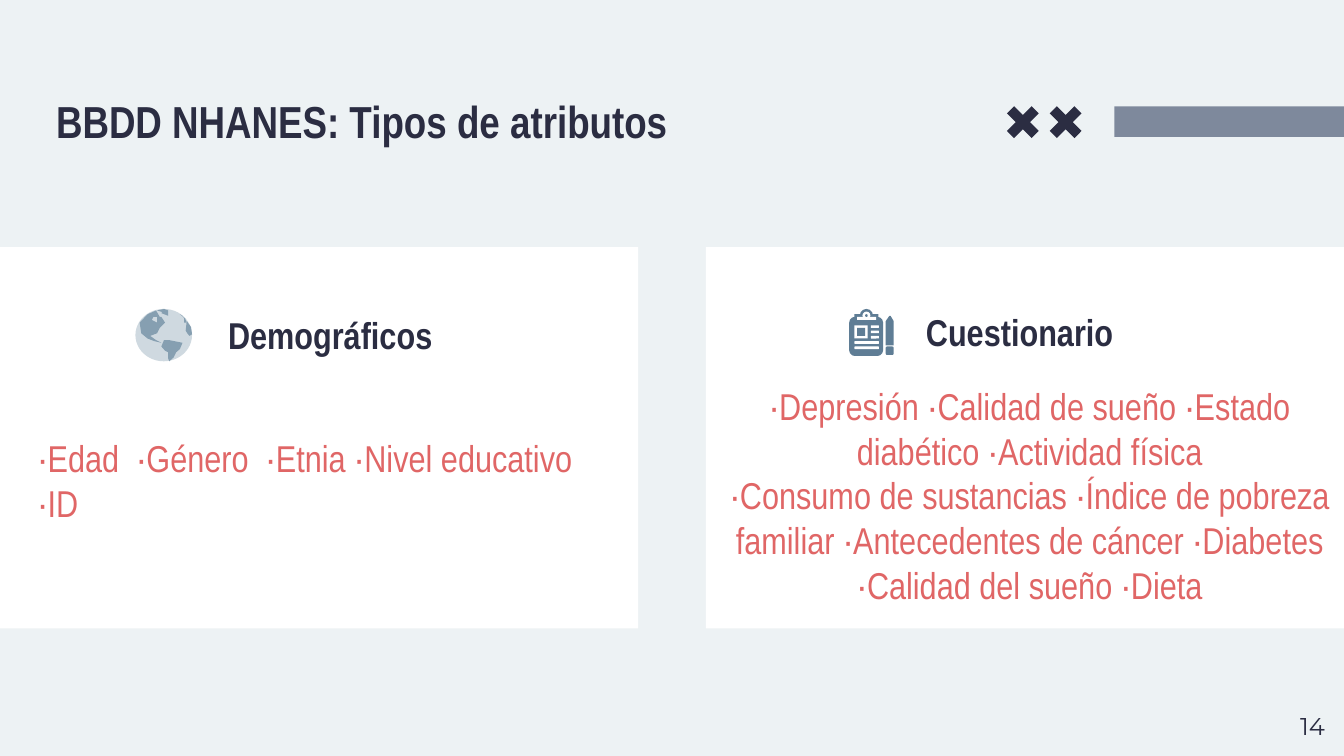
from lxml.etree import SubElement
from pptx import Presentation
from pptx.dml.color import RGBColor
from pptx.enum.shapes import MSO_SHAPE
from pptx.enum.text import MSO_ANCHOR, PP_ALIGN
from pptx.util import Cm, Pt

NAVY, CORAL, WHITE, PALE = "2B2D42", "E06666", "FFFFFF", "EDF2F4"
STEEL, LAND, SEA, GREY = "5F7D95", "869FB1", "CFD9E0", "7E899C"


def paint(shape, color):
    """Give the shape a flat fill without outline or shadow."""
    shape.fill.solid()
    shape.fill.fore_color.rgb = RGBColor.from_string(color)
    shape.line.fill.background()
    shape.shadow.inherit = False


def add_shape(kind, color, left, top, width, height):
    """Add a flat preset shape, measured in centimetres."""
    shape = page.shapes.add_shape(kind, Cm(left), Cm(top), Cm(width), Cm(height))
    paint(shape, color)
    return shape


deck = Presentation()
deck.slide_width, deck.slide_height = Cm(25.4), Cm(14.29)
page = deck.slides.add_slide(deck.slide_layouts[6])
page.background.fill.solid()
page.background.fill.fore_color.rgb = RGBColor.from_string(PALE)

# Panels and header decoration
for left in (13.34, 0):
    add_shape(MSO_SHAPE.RECTANGLE, WHITE, left, 4.67, 12.06, 7.21)
add_shape(MSO_SHAPE.RECTANGLE, GREY, 21.06, 2.01, 4.34, 0.58)
for left in (19, 19.81):
    cross = add_shape(MSO_SHAPE.CROSS, NAVY, left, 1.98, 0.66, 0.66)
    cross.adjustments[0] = 0.356
    cross.rotation = 45

# Texts: left, top, width, height, size, font, bold, color, alignment, paragraphs
NARROW = "Arial Narrow"
texts = [
    (4.06, 5.66, 6.78, 1.24, 20, NARROW, True, NAVY, PP_ALIGN.LEFT, ["Demográficos"]),
    (17.25, 5.59, 6.55, 0.99, 20, NARROW, True, NAVY, PP_ALIGN.LEFT, ["Cuestionario"]),
    (13.46, 6.99, 12.01, 4.93, 20, NARROW, False, CORAL, PP_ALIGN.CENTER, [
        "·Depresión ·Calidad de sueño ·Estado diabético ·Actividad física",
        "·Consumo de sustancias ·Índice de pobreza familiar "
        "·Antecedentes de cáncer ·Diabetes ·Calidad del sueño ·Dieta"]),
    (0.46, 7.98, 11.4, 1.37, 20, NARROW, False, CORAL, PP_ALIGN.LEFT,
     ["·Edad  ·Género  ·Etnia ·Nivel educativo ·ID"]),
    (0.81, 1.52, 15.93, 1.37, 24, NARROW, True, NAVY, PP_ALIGN.LEFT,
     ["BBDD NHANES: Tipos de atributos"]),
    (23.77, 13.18, 1.52, 1.09, 13, "Montserrat", False, NAVY, PP_ALIGN.RIGHT, ["14"]),
]
for left, top, width, height, size, font, bold, color, alignment, lines in texts:
    box = page.shapes.add_textbox(Cm(left), Cm(top), Cm(width), Cm(height))
    frame = box.text_frame
    frame.text = "\n".join(lines)
    frame.word_wrap = True
    frame.vertical_anchor = MSO_ANCHOR.MIDDLE if lines == ["14"] else MSO_ANCHOR.TOP
    frame.margin_left = frame.margin_right = Cm(0.25)
    frame.margin_top = frame.margin_bottom = Cm(0.25)
    for para in frame.paragraphs:
        para.alignment = alignment
        for span in para.runs:
            span.font.size = Pt(size)
            span.font.name = font
            span.font.bold = bold
            span.font.color.rgb = RGBColor.from_string(color)

# Clipboard icon
add_shape(MSO_SHAPE.ROUNDED_RECTANGLE, STEEL, 16.05, 5.99, 0.64, 0.74)
add_shape(MSO_SHAPE.OVAL, STEEL, 16.25, 5.84, 0.25, 0.25)
add_shape(MSO_SHAPE.RECTANGLE, STEEL, 16.15, 5.94, 0.45, 0.15)
add_shape(MSO_SHAPE.OVAL, WHITE, 16.3, 5.89, 0.15, 0.15)
add_shape(MSO_SHAPE.RECTANGLE, WHITE, 16.2, 5.99, 0.36, 0.06)
add_shape(MSO_SHAPE.OVAL, STEEL, 16.35, 5.94, 0.05, 0.05)
add_shape(MSO_SHAPE.RECTANGLE, WHITE, 16.15, 6.15, 0.25, 0.25)
add_shape(MSO_SHAPE.RECTANGLE, STEEL, 16.2, 6.2, 0.15, 0.15)
for row in range(5):
    left, width = (16.46, 0.15) if row < 3 else (16.15, 0.46)
    add_shape(MSO_SHAPE.ROUNDED_RECTANGLE, WHITE, left, 6.15 + row * 0.1, width, 0.05)
add_shape(MSO_SHAPE.ROUNDED_RECTANGLE, STEEL, 16.74, 6.55, 0.15, 0.16)

# Globe icon and pen, outlines in hundredths of a centimetre
add_shape(MSO_SHAPE.OVAL, SEA, 2.56, 5.84, 1.07, 0.99)
outlines = [
    (STEEL, [(1681, 597), (1674, 607), (1674, 653), (1689, 653), (1689, 607), (1683, 597)]),
    (LAND, [(295, 587), (279, 594), (264, 610), (267, 630), (279, 640), (292, 645),
            (305, 648), (295, 643), (284, 635), (297, 630), (302, 620), (312, 610),
            (305, 599), (297, 599), (297, 610), (287, 605), (290, 599), (302, 599)]),
    (LAND, [(320, 643), (310, 643), (305, 655), (312, 663), (318, 666), (318, 678),
            (320, 683), (328, 676), (333, 666), (340, 660), (345, 648), (330, 645)]),
    (LAND, [(353, 607), (351, 625), (354, 630), (358, 635), (363, 632), (361, 618)]),
    (LAND, [(310, 584), (297, 587), (307, 590), (305, 592), (318, 597), (318, 587)]),
    (LAND, [(340, 594), (345, 597), (348, 602), (348, 610), (353, 610), (350, 602)]),
]
for color, points in outlines:
    builder = page.shapes.build_freeform(*points[0], scale=Cm(0.01))
    builder.add_line_segments(points[1:], close=True)
    paint(builder.convert_to_shape(), color)

# Footer cover
add_shape(MSO_SHAPE.RECTANGLE, PALE, 6.35, 12.55, 13.03, 1.57)

deck.save("out.pptx")
